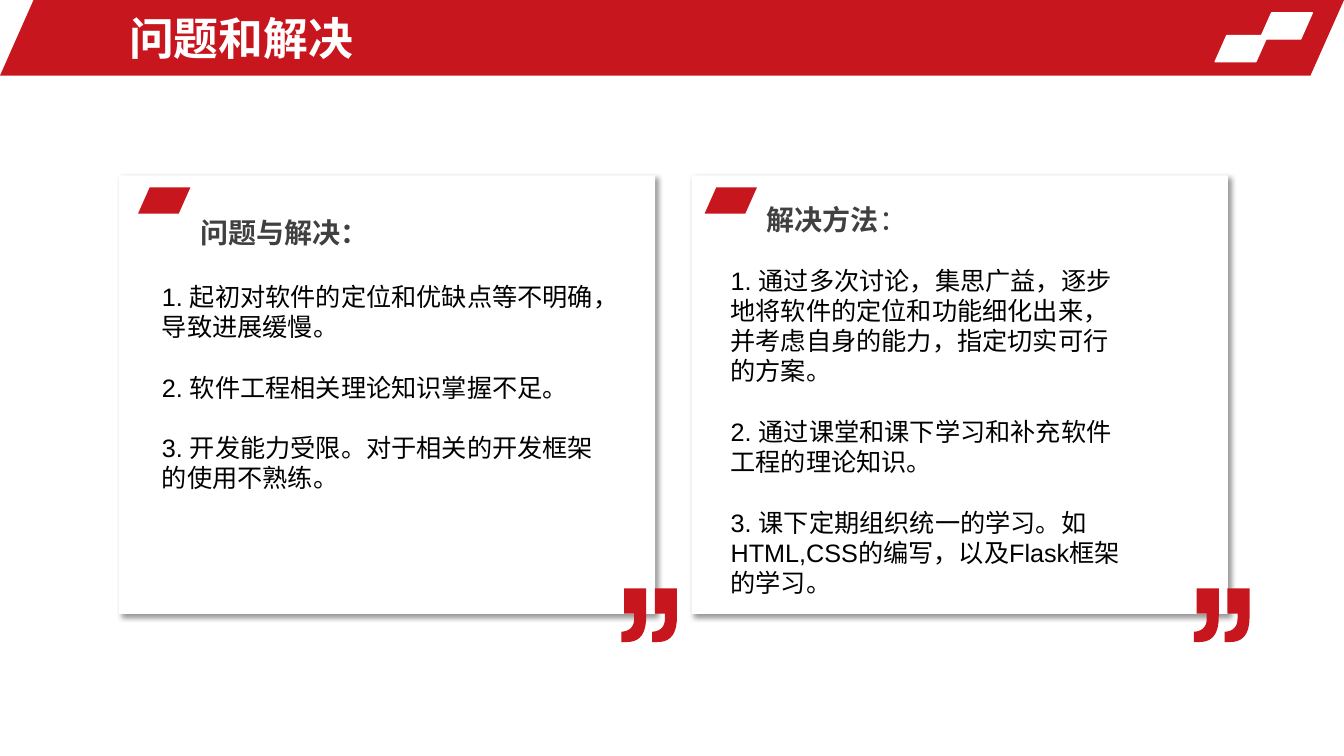
from pptx import Presentation
from pptx import util as u
from pptx.dml.color import RGBColor
from pptx.enum import shapes, text
from pptx.oxml import parse_xml
from pptx.oxml.ns import nsdecls

RED, WHITE, GREY, BLACK = "C8161E", "FFFFFF", "404040", "000000"
CARD_TOP, CARD_WIDTH, CARD_HEIGHT = 125.3, 383, 313.2
TAG_TOP, TAG_WIDTH, TAG_HEIGHT = 133.9, 37.4, 18.7


def colour(value):
    return RGBColor.from_string(value)


def points(*lengths):
    return [u.Pt(length) for length in lengths]


def paint(shape, fill, line=None):
    shape.shadow.inherit = False
    shape.fill.solid()
    shape.fill.fore_color.rgb = colour(fill)
    if line:
        shape.line.color.rgb = colour(line)
        shape.line.width = u.Pt(1)
    else:
        shape.line.fill.background()


def write(frame, paragraphs, size, fill, bold=False, gap=0, spacing=None):
    """Each paragraph is a list of (words, bold) runs or a plain string."""
    frame.word_wrap = True
    for index, content in enumerate(paragraphs):
        paragraph = frame.paragraphs[0] if index == 0 else frame.add_paragraph()
        paragraph.alignment = text.PP_ALIGN.LEFT
        paragraph.space_before = u.Pt(gap if index else 0)
        if spacing:
            paragraph.line_spacing = spacing
        runs = [(content, bold)] if isinstance(content, str) else content
        for words, weight in runs:
            run = paragraph.add_run()
            run.text = words
            run.font.name = "Arial"
            run.font.size = u.Pt(size)
            run.font.bold = weight
            run.font.color.rgb = colour(fill)


def textbox(slide, box, paragraphs, **style):
    frame = slide.shapes.add_textbox(*points(*box)).text_frame
    write(frame, paragraphs, **style)


def parallelogram(slide, box, fill, line=None):
    shape = slide.shapes.add_shape(shapes.MSO_SHAPE.PARALLELOGRAM, *points(*box))
    shape.adjustments[0] = 0.444
    paint(shape, fill, line)


def panel(slide, left):
    card = slide.shapes.add_shape(
        shapes.MSO_SHAPE.ROUNDED_RECTANGLE,
        *points(left, CARD_TOP, CARD_WIDTH, CARD_HEIGHT))
    card.adjustments[0] = 0
    paint(card, WHITE)
    # Soft shadow towards the lower right
    effects = card.element.spPr.find(
        "{http://schemas.openxmlformats.org/drawingml/2006/main}effectLst")
    effects.append(parse_xml(
        f'<a:outerShdw {nsdecls("a")} blurRad="{u.Pt(4)}" dist="{u.Pt(3)}" '
        'dir="2700000" algn="tl" rotWithShape="0"><a:srgbClr val="000000">'
        '<a:alpha val="40000"/></a:srgbClr></a:outerShdw>'))


def bezier(start, control1, control2, end, steps=10):
    curve = []
    for step in range(steps + 1):
        t = step / steps
        weights = ((1 - t) ** 3, 3 * t * (1 - t) ** 2, 3 * t * t * (1 - t), t ** 3)
        corners = (start, control1, control2, end)
        curve.append(tuple(sum(w * c[axis] for w, c in zip(weights, corners))
                           for axis in (0, 1)))
    return curve


def quote_mark(slide, left, top):
    comma = [(17.8, 0),
             *bezier((17.8, 20), (17.8, 32.2), (13.5, 38.3), (4, 38.3)),
             (0, 38.3),
             *bezier((0, 31), (6, 30.6), (9.2, 27.4), (9.2, 21.6)),
             (9.2, 18), (2, 18), (2, 0)]
    first, second = [
        [points(left + shift + x, top + y) for x, y in comma] for shift in (0, 22)]
    builder = slide.shapes.build_freeform(*first[0])
    builder.add_line_segments(first[1:], close=True)
    builder.move_to(*second[0])
    builder.add_line_segments(second[1:], close=True)
    paint(builder.convert_to_shape(), RED)


def header(slide, words):
    parallelogram(slide, (0, 0, 960, 54), RED)
    for left, top in ((900, 9.2), (868, 25.4)):
        parallelogram(slide, (left, top, TAG_WIDTH, TAG_HEIGHT), WHITE, line=WHITE)
    title = slide.shapes.title
    title.left, title.top, title.width, title.height = points(85, 3.6, 557.3, 46.8)
    title.text_frame.vertical_anchor = text.MSO_ANCHOR.MIDDLE
    write(title.text_frame, [words], size=32, fill=WHITE, bold=True)
    title.element.getparent().append(title.element)  # in front of the bar


def card(slide, left, tag_left, heading, heading_top, items, items_box):
    panel(slide, left)
    parallelogram(slide, (tag_left, TAG_TOP, TAG_WIDTH, TAG_HEIGHT), RED)
    textbox(slide, (tag_left + TAG_WIDTH, heading_top, 306.7, 69.8), [heading],
            size=20, fill=GREY, bold=True, spacing=1.3)
    quote_mark(slide, left + 358.8, 420.3)
    textbox(slide, items_box, items, size=18, fill=BLACK, gap=21.6)


def main():
    deck = Presentation()
    deck.slide_width, deck.slide_height = points(960, 540)
    slide = deck.slides.add_slide(deck.slide_layouts[5])
    header(slide, "问题和解决")

    # Problems
    card(slide, 85, 98.6, "问题与解决：", 143.3, [
        "1. 起初对软件的定位和优缺点等不明确，导致进展缓慢。",
        "2. 软件工程相关理论知识掌握不足。",
        "3. 开发能力受限。对于相关的开发框架的使用不熟练。",
    ], (108.6, 197.3, 324.7, 159.8))

    # Solutions
    card(slide, 494, 503.3, [("解决方法", True), ("：", False)], 133.9, [
        "1. 通过多次讨论，集思广益，逐步地将软件的定位和功能细化出来，"
        "并考虑自身的能力，指定切实可行的方案。",
        "2. 通过课堂和课下学习和补充软件工程的理论知识。",
        "3. 课下定期组织统一的学习。如HTML,CSS的编写，以及Flask框架的学习。",
    ], (514.8, 185.8, 298.1, 247))

    deck.save("out.pptx")


if __name__ == "__main__":
    main()
